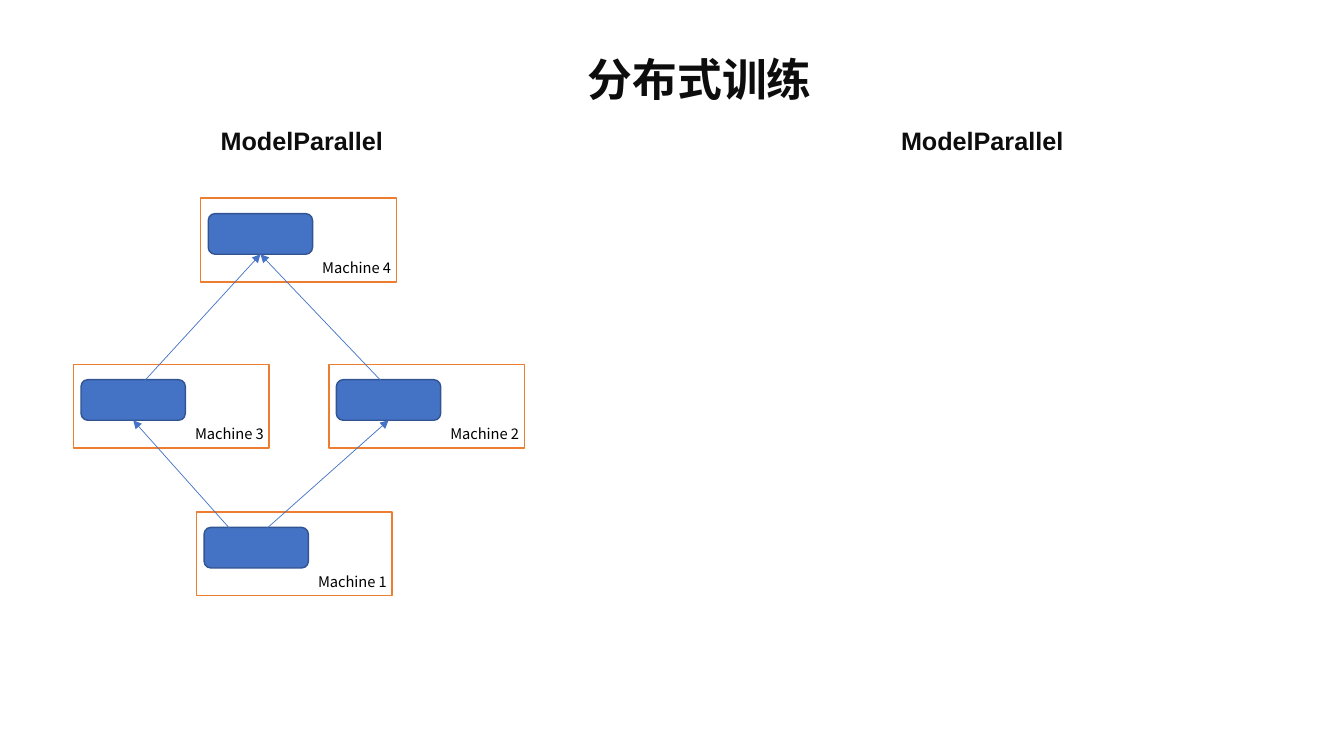
from dataclasses import dataclass

from lxml import etree
from pptx import Presentation
from pptx.dml.color import RGBColor
from pptx.enum.shapes import MSO_CONNECTOR, MSO_SHAPE
from pptx.enum.text import MSO_ANCHOR, MSO_AUTO_SIZE, PP_ALIGN
from pptx.oxml.ns import qn
from pptx.util import Pt

RECT, ROUND_RECT = MSO_SHAPE.RECTANGLE, MSO_SHAPE.ROUNDED_RECTANGLE
STRAIGHT = MSO_CONNECTOR.STRAIGHT
TOP, LEFT, NO_FIT = MSO_ANCHOR.TOP, PP_ALIGN.LEFT, MSO_AUTO_SIZE.NONE
TITLE_ONLY = 5
BOTTOM_SITE = 2


@dataclass(frozen=True)
class Theme:
    ink: str = "0D0D0D"
    black: str = "000000"
    white: str = "FFFFFF"
    orange: str = "ED7D31"
    blue: str = "4472C4"
    dark_blue: str = "325491"
    latin: str = "Arial"
    cjk: str = "Noto Sans CJK SC"
    title: float = 32
    heading: float = 18
    label: float = 10.5


THEME = Theme()


def rgb(code):
    return RGBColor.from_string(code)


def write_text(shape, text, *, size, font, color, bold=False):
    tf = shape.text_frame
    tf.word_wrap = True
    tf.auto_size = NO_FIT
    tf.vertical_anchor = TOP
    p = tf.paragraphs[0]
    p.alignment = LEFT
    r = p.add_run()
    r.text = text
    r.font.size = Pt(size)
    r.font.name = font
    r.font.bold = bold
    r.font.color.rgb = rgb(color)
    # East Asian glyphs take their own typeface
    ea = etree.SubElement(r.font._element, qn("a:ea"))
    ea.set("typeface", THEME.cjk)


def add_title(s, text, x, y, w, h):
    title = s.shapes.title
    title.left, title.top, title.width, title.height = Pt(x), Pt(y), Pt(w), Pt(h)
    write_text(title, text, size=THEME.title, font=THEME.latin,
               color=THEME.ink, bold=True)


def add_text(s, text, x, y, w, h, **style):
    box = s.shapes.add_textbox(Pt(x), Pt(y), Pt(w), Pt(h))
    write_text(box, text, **style)


def add_block(s, kind, x, y, w, h, fill, line):
    sp = s.shapes.add_shape(kind, Pt(x), Pt(y), Pt(w), Pt(h))
    sp.shadow.inherit = False
    sp.fill.solid()
    sp.fill.fore_color.rgb = rgb(fill)
    sp.line.color.rgb = rgb(line)
    sp.line.width = Pt(1)
    return sp


def add_machine(s, name, x, y):
    """Draw a framed machine and return its inner model block."""
    add_block(s, RECT, x, y, 139.7, 59.8, THEME.white, THEME.orange)
    model = add_block(s, ROUND_RECT, x + 5.4, y + 11, 74.5, 29,
                      THEME.blue, THEME.dark_blue)
    add_text(s, name, x + 79.7, y + 39.8, 65.5, 20,
             size=THEME.label, font=THEME.cjk, color=THEME.black)
    return model


def add_arrow(s, x, y, target):
    """Draw an arrow from a point to the bottom centre of a block."""
    arrow = s.shapes.add_connector(STRAIGHT, Pt(x), Pt(y), Pt(x), Pt(y))
    arrow.end_connect(target, BOTTOM_SITE)
    arrow.line.color.rgb = rgb(THEME.blue)
    arrow.line.width = Pt(0.5)
    etree.SubElement(arrow.line._get_or_add_ln(), qn("a:tailEnd"), type="triangle")
    etree.SubElement(arrow._element.spPr, qn("a:effectLst"))


def main():
    prs = Presentation()
    prs.slide_width, prs.slide_height = Pt(960), Pt(540)
    s = prs.slides.add_slide(prs.slide_layouts[TITLE_ONLY])

    add_title(s, "分布式训练", 412.6, 33.1, 229.7, 46)

    # Machines
    places = [(140.4, 365.7), (234.9, 260.2), (52.5, 260.2), (143.4, 141.6)]
    models = [add_machine(s, f"Machine {n}", x, y)
              for n, (x, y) in enumerate(places, 1)]
    _, right, left, top = models

    # Data flow from the bottom machine to the top one
    for x, y, target in [(174.2, 388.8, left), (177.8, 388.8, right),
                         (96.5, 279.4, top), (275.8, 275.8, top)]:
        add_arrow(s, x, y, target)

    # Column headings
    for x in (150.5, 636.5):
        add_text(s, "ModelParallel", x, 85.7, 133.2, 28.8, size=THEME.heading,
                 font=THEME.latin, color=THEME.ink, bold=True)

    prs.save("out.pptx")


main()
